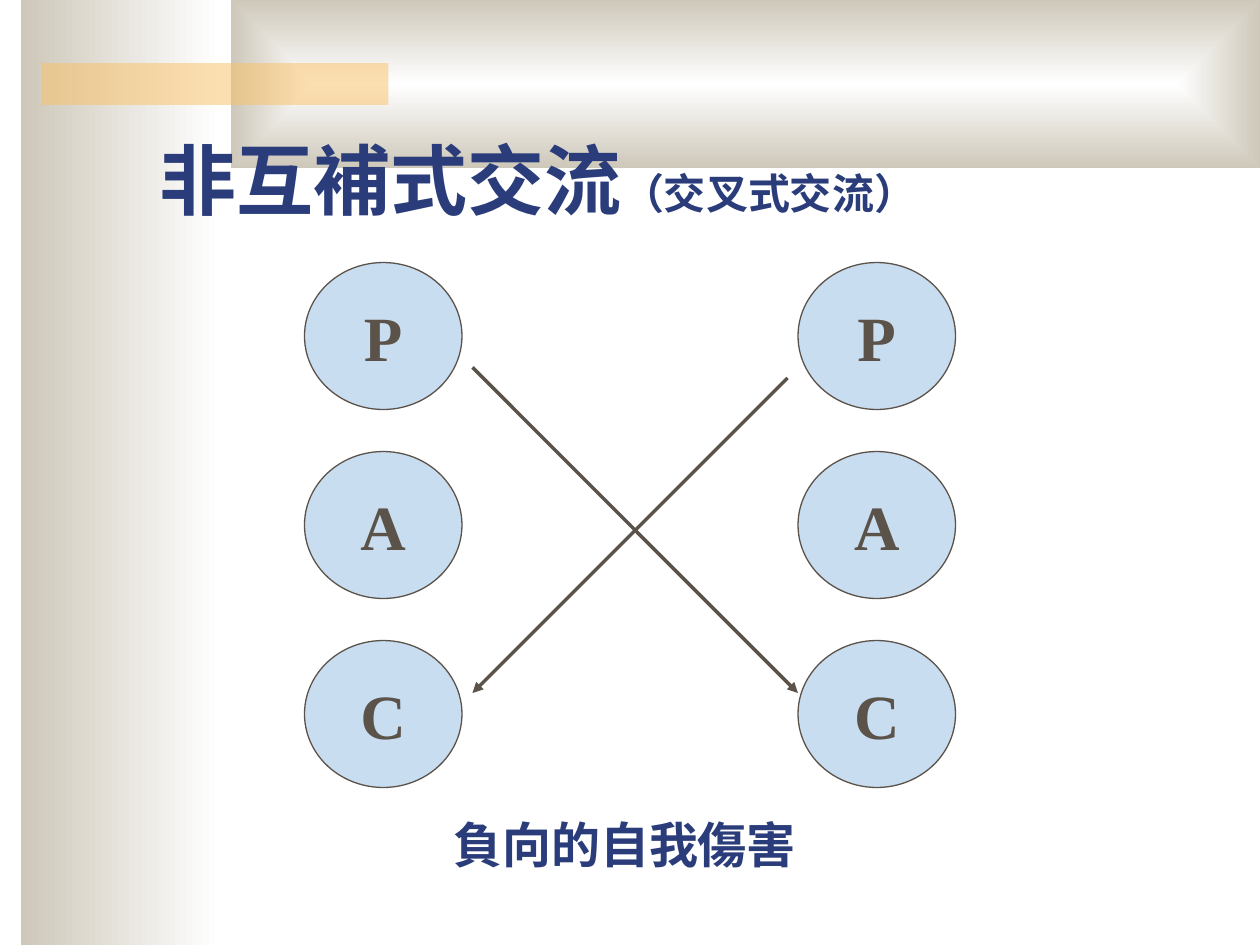
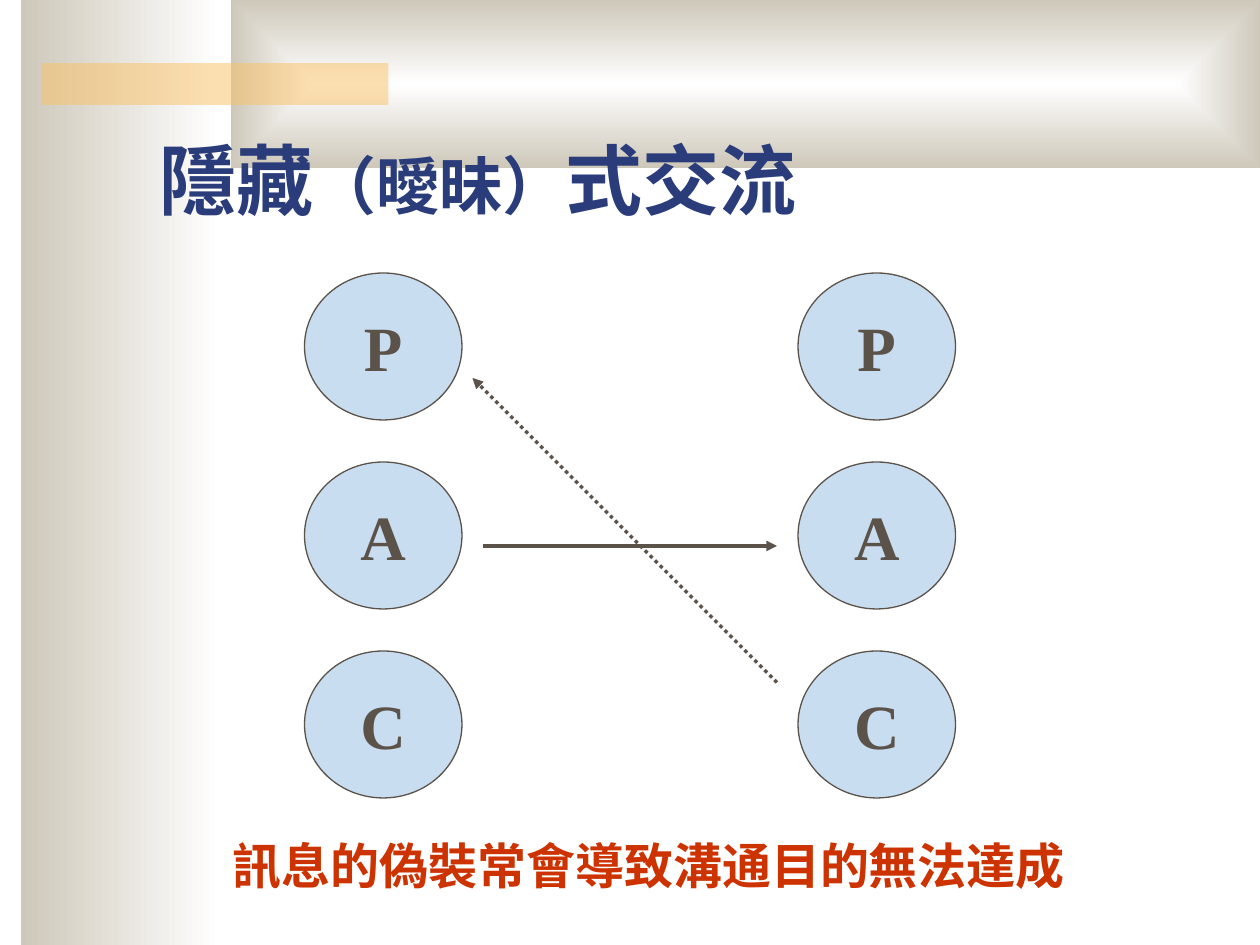
from dataclasses import dataclass

from lxml.etree import SubElement
from pptx import Presentation
from pptx.dml.color import RGBColor
from pptx.enum.dml import MSO_LINE
from pptx.enum.shapes import MSO_CONNECTOR, MSO_SHAPE
from pptx.enum.text import MSO_ANCHOR, MSO_AUTO_SIZE, PP_ALIGN
from pptx.oxml.ns import qn
from pptx.util import Pt


@dataclass(frozen=True)
class Theme:
    font: str = "Times New Roman"
    navy: str = "2A3D7A"
    red: str = "CC3300"
    brown: str = "5B5249"
    pale_blue: str = "C9DDF1"
    white: str = "FFFFFF"
    stone: str = "CEC8BA"
    amber: str = "FAC164"
    title_size: int = 44
    state_size: int = 36
    subtitle_size: int = 24
    caption_size: int = 28


THEME = Theme()
EGO_STATES = ["P", "A", "C"]
SLIDES = [
    {
        "title": [("非互補式交流", THEME.title_size), ("（交叉式交流）", THEME.subtitle_size)],
        "states_top": 150,
        "arrows": [((270, 210), (456, 396), None), ((450, 216), (270, 396), None)],
        "caption": ("負向的自我傷害", THEME.navy, (252, 462, 216, 41)),
    },
    {
        "title": [
            ("隱藏", THEME.title_size),
            ("（曖昧）", THEME.state_size),
            ("式交流", THEME.title_size),
        ],
        "states_top": 156,
        "arrows": [
            ((276, 312), (444, 312), None),
            ((444, 390), (270, 216), MSO_LINE.ROUND_DOT),
        ],
        "caption": ("訊息的偽裝常會導致溝通目的無法達成", THEME.red, (126, 474, 516, 41)),
    },
]

SIDE_BAND = (12, 0, 114, 540)
TOP_BAND = (132, 0, 588, 96)
ACCENT_BAR = (24, 36, 198, 24)
TITLE_BOX = (84, 66, 612, 66)
COLUMN_LEFTS = [174, 456]
STATE_WIDTH, STATE_HEIGHT, STATE_STEP = 90, 84, 108


def points(values):
    return [Pt(value) for value in values]


def color(value):
    return RGBColor.from_string(value)


def write(frame, runs, *, ink, align=PP_ALIGN.LEFT, anchor=MSO_ANCHOR.TOP,
          wrap=True, auto_size=MSO_AUTO_SIZE.NONE, space_before=0):
    frame.word_wrap = wrap
    frame.auto_size = auto_size
    frame.vertical_anchor = anchor
    paragraph = frame.paragraphs[0]
    paragraph.alignment = align
    paragraph.space_before = Pt(space_before)
    for text, size in runs:
        run = paragraph.add_run()
        run.text = text
        run.font.name = THEME.font
        run.font.size = Pt(size)
        run.font.bold = True
        run.font.color.rgb = color(ink)


def add_band(slide, box):
    band = slide.shapes.add_shape(MSO_SHAPE.RECTANGLE, *points(box))
    band.shadow.inherit = False
    band.line.fill.background()
    return band


def fade(band):
    band.fill.gradient()
    band.fill.gradient_angle = 180
    for stop, value in zip(band.fill.gradient_stops, (THEME.white, THEME.stone)):
        stop.color.rgb = color(value)


def decorate_layout(layout, slide):
    side_band, top_band, accent_bar = bands = [
        add_band(slide, box) for box in (SIDE_BAND, TOP_BAND, ACCENT_BAR)
    ]
    fade(side_band)
    fade(top_band)
    gradient = top_band.element.spPr.find(qn("a:gradFill"))
    gradient.remove(gradient.find(qn("a:lin")))
    center = SubElement(gradient, qn("a:path"), {"path": "rect"})
    SubElement(center, qn("a:fillToRect"), dict.fromkeys("ltrb", "50000"))
    accent_bar.fill.solid()
    accent_bar.fill.fore_color.rgb = color(THEME.amber)
    amber = accent_bar.element.spPr.find(qn("a:solidFill")).find(qn("a:srgbClr"))
    SubElement(amber, qn("a:alpha"), val="50000")
    title, *footers = list(layout.placeholders)
    for footer in footers:
        footer.element.getparent().remove(footer.element)
    for band in bands:
        title.element.addprevious(band.element)


def add_title(slide, runs):
    title = slide.shapes.title
    title.left, title.top, title.width, title.height = points(TITLE_BOX)
    write(title.text_frame, runs, ink=THEME.navy, anchor=MSO_ANCHOR.BOTTOM)


def add_state_column(slide, left, top):
    column = slide.shapes.add_group_shape()
    for row, state in enumerate(EGO_STATES):
        box = (left, top + row * STATE_STEP, STATE_WIDTH, STATE_HEIGHT)
        circle = column.shapes.add_shape(MSO_SHAPE.OVAL, *points(box))
        circle.shadow.inherit = False
        circle.fill.solid()
        circle.fill.fore_color.rgb = color(THEME.pale_blue)
        circle.line.color.rgb = color(THEME.brown)
        circle.line.width = Pt(0.75)
        write(circle.text_frame, [(state, THEME.state_size)], ink=THEME.brown,
              align=PP_ALIGN.CENTER, anchor=MSO_ANCHOR.MIDDLE, wrap=False)


def add_arrow(slide, start, end, dash):
    arrow = slide.shapes.add_connector(MSO_CONNECTOR.STRAIGHT, *points(start + end))
    arrow.line.color.rgb = color(THEME.brown)
    arrow.line.width = Pt(2)
    if dash:
        arrow.line.dash_style = dash
    properties = arrow.element.spPr
    SubElement(properties.find(qn("a:ln")), qn("a:tailEnd"), type="triangle")
    SubElement(properties, qn("a:effectLst"))


def add_caption(slide, text, ink, box):
    caption = slide.shapes.add_textbox(*points(box))
    write(caption.text_frame, [(text, THEME.caption_size)], ink=ink,
          auto_size=MSO_AUTO_SIZE.SHAPE_TO_FIT_TEXT, space_before=17.5)


def main():
    presentation = Presentation()
    presentation.slide_width, presentation.slide_height = Pt(720), Pt(540)
    layout = presentation.slide_layouts.get_by_name("Title Only")
    slides = [presentation.slides.add_slide(layout) for _ in SLIDES]
    decorate_layout(layout, slides[0])
    for slide, content in zip(slides, SLIDES):
        add_title(slide, content["title"])
        for left in COLUMN_LEFTS:
            add_state_column(slide, left, content["states_top"])
        for start, end, dash in content["arrows"]:
            add_arrow(slide, start, end, dash)
        add_caption(slide, *content["caption"])
    presentation.save("out.pptx")


if __name__ == "__main__":
    main()
